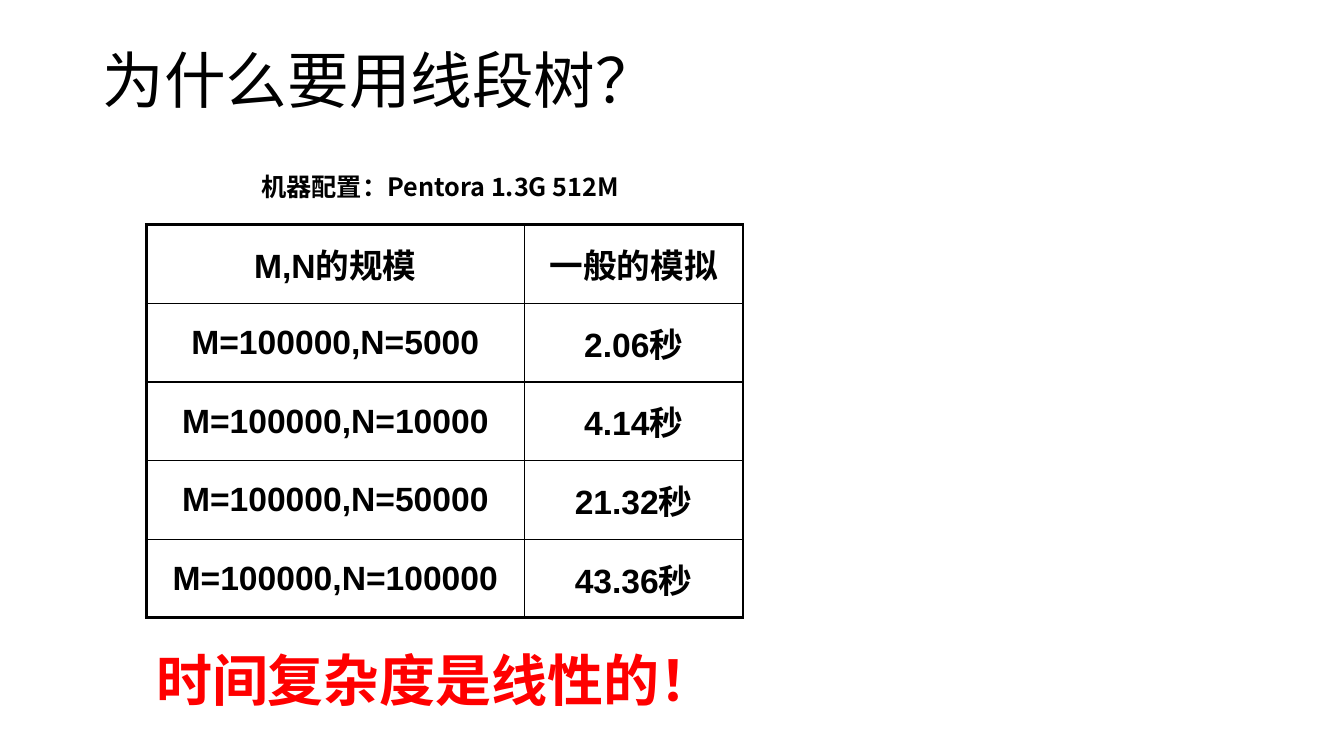
"""Build the slide on why a segment tree is used."""
from lxml import etree
from pptx import Presentation, util as u
from pptx.dml.color import RGBColor
from pptx.enum import text as t
from pptx.oxml.ns import qn

TITLE = "为什么要用线段树？"
SETUP = "机器配置：Pentora 1.3G 512M"
ROWS = [
    ("M,N的规模", "一般的模拟"),
    ("M=100000,N=5000", "2.06秒"),
    ("M=100000,N=10000", "4.14秒"),
    ("M=100000,N=50000", "21.32秒"),
    ("M=100000,N=100000", "43.36秒"),
]
CLOSING = "时间复杂度是线性的！"

COLS = (375, 217)
ROW_H = 78
LEFT = 145
THICK, THIN = 2.25, 1
BLACK = RGBColor(0, 0, 0)
RED = RGBColor(255, 0, 0)
HAN = "Noto Sans CJK SC"
SCALE = 9144


def px(n):
    return u.Emu(n * SCALE)


def write(frame, words, size=24, font="Arial", color=BLACK, bold=True,
          align=t.PP_ALIGN.LEFT, spacing=None):
    para = frame.paragraphs[0]
    para.alignment = align
    para.line_spacing = spacing
    run = para.add_run()
    run.text = words
    run.font.size = u.Pt(size)
    run.font.bold = bold
    run.font.color.rgb = color
    run.font.name = font
    etree.SubElement(run._r.get_or_add_rPr(), qn("a:ea"), typeface=HAN)


def add_text(slide, box, words, inset=None, **form):
    frame = slide.shapes.add_textbox(*map(px, box)).text_frame
    frame.word_wrap = True
    if inset is not None:
        frame.margin_left = frame.margin_right = px(inset)
        frame.margin_top = frame.margin_bottom = px(inset)
    write(frame, words, **form)


def add_edges(cell, widths):
    props = cell._tc.get_or_add_tcPr()
    for i, (side, width) in enumerate(zip("LRTB", widths)):
        line = etree.Element(qn(f"a:ln{side}"), w=str(u.Pt(width)))
        fill = etree.SubElement(line, qn("a:solidFill"))
        etree.SubElement(fill, qn("a:srgbClr"), val=str(BLACK))
        props.insert(i, line)


def add_grid(slide, left, top):
    size = sum(COLS), ROW_H * len(ROWS)
    grid = slide.shapes.add_table(
        len(ROWS), len(COLS), *map(px, (left, top, *size))).table
    grid.first_row = grid.horz_banding = False
    for col, width in zip(grid.columns, COLS):
        col.width = px(width)
    for r, row in enumerate(ROWS):
        grid.rows[r].height = px(ROW_H)
        for c, words in enumerate(row):
            cell = grid.cell(r, c)
            cell.fill.background()
            cell.vertical_anchor = t.MSO_ANCHOR.MIDDLE
            write(cell.text_frame, words, align=t.PP_ALIGN.CENTER)
            outer = (c == 0, c == len(COLS) - 1,
                     r == 0, r == len(ROWS) - 1)
            add_edges(cell, [THICK if o else THIN for o in outer])


def main():
    deck = Presentation()
    deck.slide_width, deck.slide_height = px(1333), px(750)
    slide = deck.slides.add_slide(deck.slide_layouts[6])
    add_text(slide, (92, 40, 1150, 145), TITLE, inset=10, size=44,
             font="Calibri", bold=False, spacing=0.9)
    add_text(slide, (LEFT, 165, 583, 40), SETUP, size=18, font=HAN,
             align=t.PP_ALIGN.CENTER)
    add_grid(slide, LEFT, 223)
    add_text(slide, (LEFT, 636, 700, 77), CLOSING, size=40, color=RED)
    deck.save("out.pptx")


if __name__ == "__main__":
    main()
